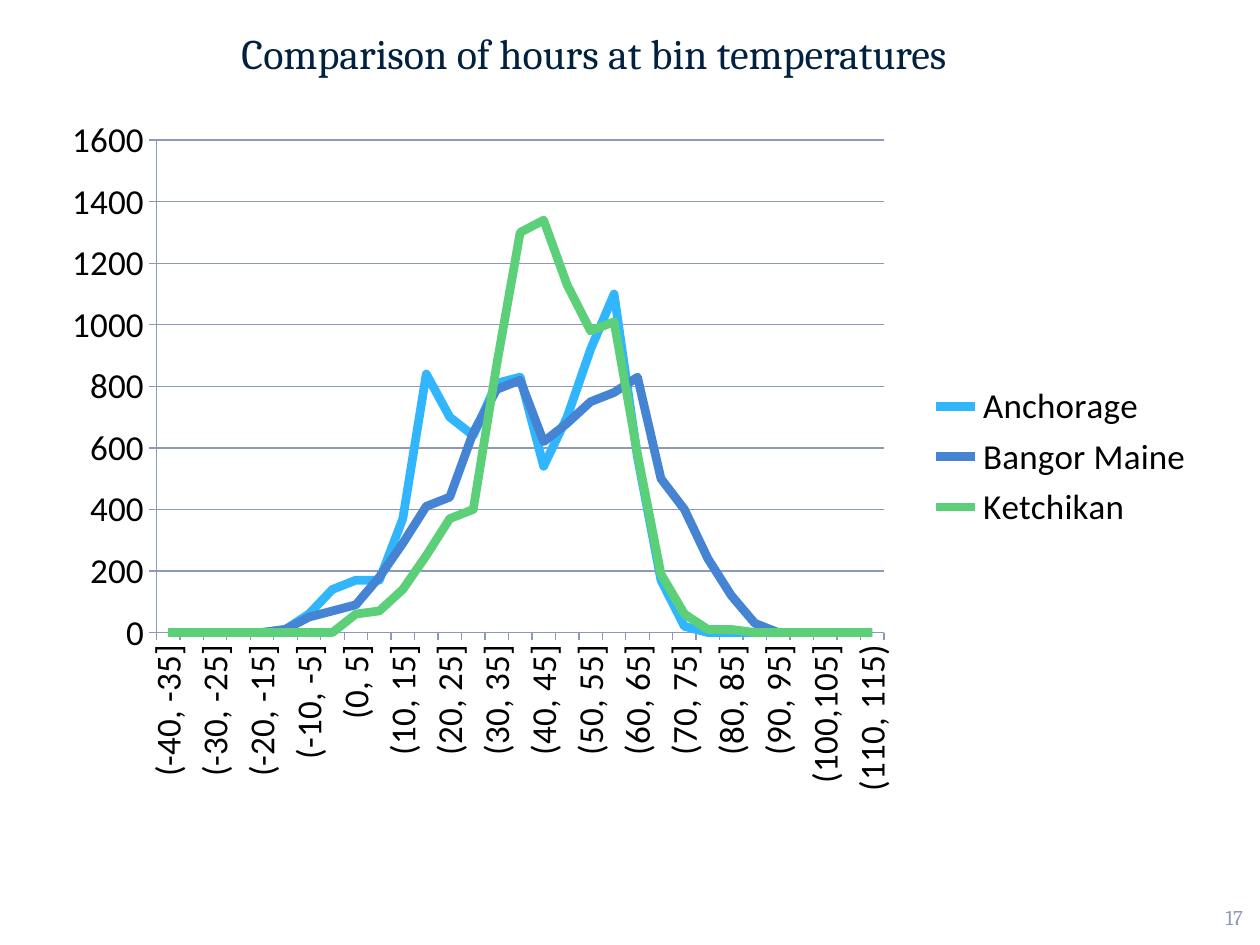
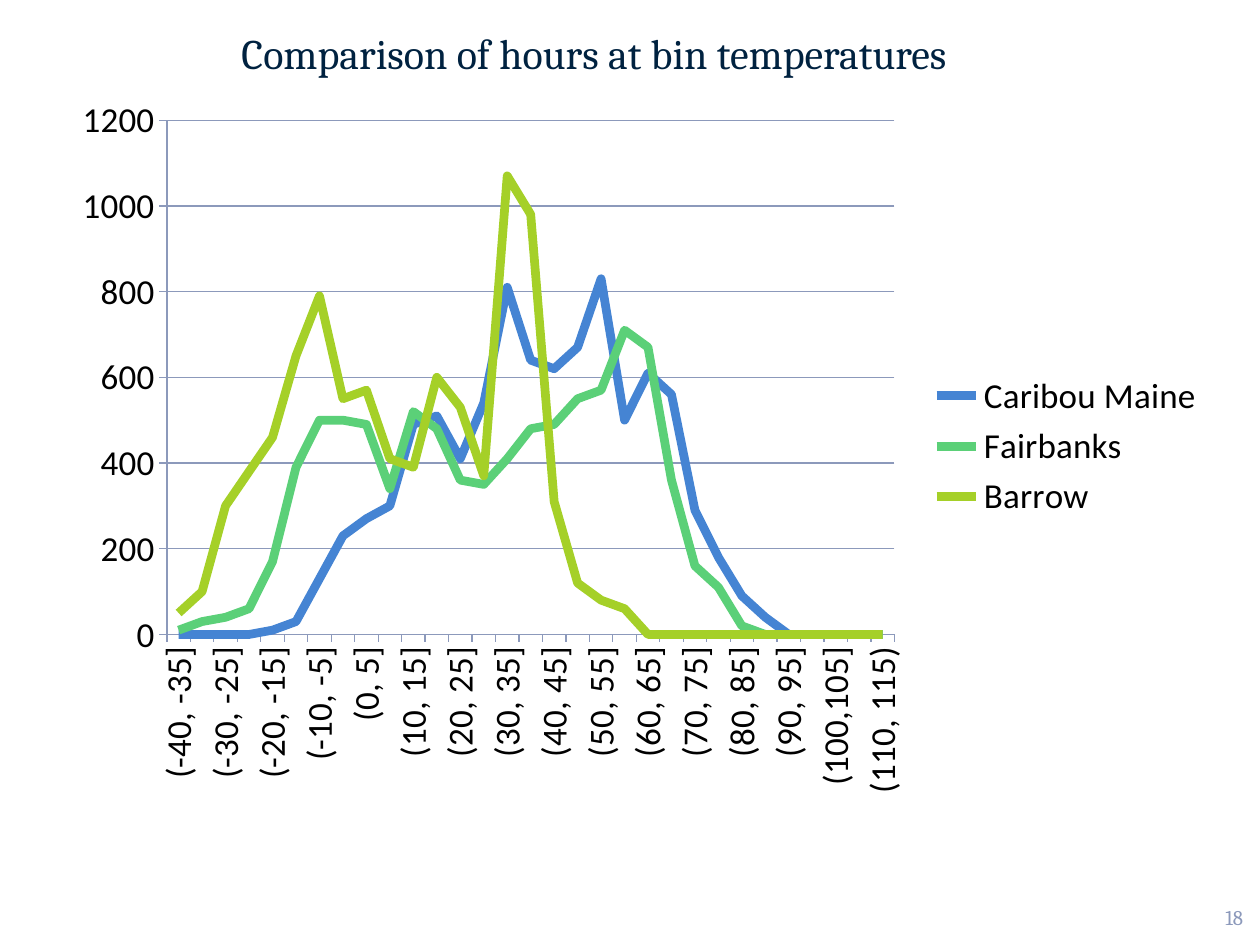
from lxml.etree import SubElement
from pptx import Presentation
from pptx.chart.data import CategoryChartData
from pptx.dml.color import RGBColor
from pptx.enum.chart import XL_CHART_TYPE, XL_LEGEND_POSITION, XL_MARKER_STYLE, XL_TICK_MARK
from pptx.enum.text import MSO_ANCHOR, MSO_AUTO_SIZE, PP_ALIGN
from pptx.oxml.ns import qn
from pptx.util import Pt

COLORS = {
    "white": "FFFFFF", "navy": "002240", "gray": "8C99BB", "black": "000000",
    "sky": "31B6FD", "blue": "4584D3", "green": "5BD078", "lime": "A5D028",
}
HEAD = "Comparison of hours at bin temperatures "
HEAD_BOX = (54, 12, 576, 138)
NUM_BOX = (549.4, 509.8, 168, 28.8)
BINS = [f"({low}, {low + 5}]" for low in range(-40, 100, 5)]
BINS += ["(100,105]", "(105,110]", "(110, 115)"]

PAGES = [
    {
        "num": "17", "box": (30, 60, 660, 402), "top": 1600,
        "plot": {"x": 0.09, "y": 0.05, "w": 0.63, "h": 0.7},
        "lines": [
            ("Anchorage", "sky", [
                0, 0, 0, 0, 0, 10, 60, 140, 170, 170, 370, 840, 700, 640, 810, 830,
                540, 700, 920, 1100, 570, 170, 20, 0, 0, 0, 0, 0, 0, 0, 0]),
            ("Bangor Maine", "blue", [
                0, 0, 0, 0, 0, 10, 50, 70, 90, 180, 290, 410, 440, 650, 790, 820,
                620, 680, 750, 780, 830, 500, 400, 240, 120, 30, 0, 0, 0, 0, 0]),
            ("Ketchikan", "green", [
                0, 0, 0, 0, 0, 0, 0, 0, 60, 70, 140, 250, 370, 400, 870, 1300,
                1340, 1130, 980, 1010, 580, 190, 60, 10, 10, 0, 0, 0, 0, 0, 0]),
        ],
    },
    {
        "num": "18", "box": (36, 48, 660, 414), "top": 1200,
        "plot": {"x": 0.09, "y": 0.05, "w": 0.63, "h": 0.71},
        "lines": [
            ("Caribou Maine", "blue", [
                0, 0, 0, 0, 10, 30, 130, 230, 270, 300, 490, 510, 410, 540, 810, 640,
                620, 670, 830, 500, 610, 560, 290, 180, 90, 40, 0, 0, 0, 0, 0]),
            ("Fairbanks", "green", [
                10, 30, 40, 60, 170, 390, 500, 500, 490, 340, 520, 480, 360, 350, 410, 480,
                490, 550, 570, 710, 670, 360, 160, 110, 20, 0, 0, 0, 0, 0, 0]),
            ("Barrow", "lime", [
                50, 100, 300, 380, 460, 650, 790, 550, 570, 410, 390, 600, 530, 370, 1070, 980,
                310, 120, 80, 60, 0, 0, 0, 0, 0, 0, 0, 0, 0, 0, 0]),
        ],
    },
]


def tint(name):
    return RGBColor.from_string(COLORS[name])


def put(item, values):
    for key, value in values.items():
        setattr(item, key, value)


def place(shape, box):
    put(shape, dict(zip(("left", "top", "width", "height"), map(Pt, box))))


def style(font, name, size, color):
    put(font, {"name": name, "size": Pt(size), "bold": False})
    font.color.rgb = tint(color)


def stroke(line, color, width):
    line.color.rgb = tint(color)
    line.width = Pt(width)


def write(shape, text, size, color, align, anchor):
    frame = shape.text_frame
    put(frame, {"text": text, "word_wrap": True, "auto_size": MSO_AUTO_SIZE.NONE,
                "vertical_anchor": anchor})
    para = frame.paragraphs[0]
    para.alignment = align
    style(para.runs[0].font, "Cambria", size, color)
    return para


def add_head(slide):
    title = slide.shapes.title
    place(title, HEAD_BOX)
    para = write(title, HEAD, 24, "navy", PP_ALIGN.CENTER, MSO_ANCHOR.TOP)
    para.space_before = Pt(4.8)


def add_num(slide, text):
    box = slide.shapes.add_textbox(*map(Pt, NUM_BOX))
    write(box, text, 12, "gray", PP_ALIGN.RIGHT, MSO_ANCHOR.MIDDLE)


def fix_plot(chart, ratios):
    area = chart._chartSpace.chart.plotArea
    for old in area.findall(qn("c:layout")):
        area.remove(old)
    outer = SubElement(area, qn("c:layout"))
    area.insert(0, outer)
    inner = SubElement(outer, qn("c:manualLayout"))
    parts = {"layoutTarget": "inner", "xMode": "edge", "yMode": "edge", **ratios}
    for key, value in parts.items():
        SubElement(inner, qn(f"c:{key}")).set("val", str(value))


def set_axes(chart, top):
    cats, vals = chart.category_axis, chart.value_axis
    for axis in (cats, vals):
        put(axis, {"major_tick_mark": XL_TICK_MARK.OUTSIDE,
                   "minor_tick_mark": XL_TICK_MARK.NONE})
        style(axis.tick_labels.font, "Calibri", 20, "black")
        stroke(axis.format.line, "gray", 0.75)
    put(vals, {"minimum_scale": 0, "maximum_scale": top, "major_unit": 200,
               "has_major_gridlines": True})
    stroke(vals.major_gridlines.format.line, "gray", 0.75)
    node = cats._element
    node.find(qn("c:txPr")).find(qn("a:bodyPr")).set("rot", "-5400000")
    skip = SubElement(node, qn("c:tickLblSkip"))
    skip.set("val", "2")
    node.find(qn("c:noMultiLvlLbl")).addprevious(skip)


def add_graph(slide, page):
    data = CategoryChartData()
    data.categories = BINS
    for name, color, hours in page["lines"]:
        data.add_series(name, hours)
    frame = slide.shapes.add_chart(XL_CHART_TYPE.LINE, *map(Pt, page["box"]), data)
    chart = frame.chart
    put(chart, {"has_title": False, "has_legend": True})
    style(chart.font, "Calibri", 20, "black")
    put(chart.legend, {"position": XL_LEGEND_POSITION.RIGHT, "include_in_layout": False})
    style(chart.legend.font, "Calibri", 20, "black")
    plot = chart.plots[0]
    plot.vary_by_categories = False
    for series, (name, color, hours) in zip(plot.series, page["lines"]):
        series.smooth = False
        series.marker.style = XL_MARKER_STYLE.NONE
        stroke(series.format.line, color, 5)
    set_axes(chart, page["top"])
    fix_plot(chart, page["plot"])


def main():
    deck = Presentation()
    put(deck, {"slide_width": Pt(720), "slide_height": Pt(540)})
    fill = deck.slide_master.background.fill
    fill.solid()
    fill.fore_color.rgb = tint("white")
    for page in PAGES:
        slide = deck.slides.add_slide(deck.slide_layouts.get_by_name("Title Only"))
        add_head(slide)
        add_graph(slide, page)
        add_num(slide, page["num"])
    deck.save("out.pptx")


if __name__ == "__main__":
    main()
